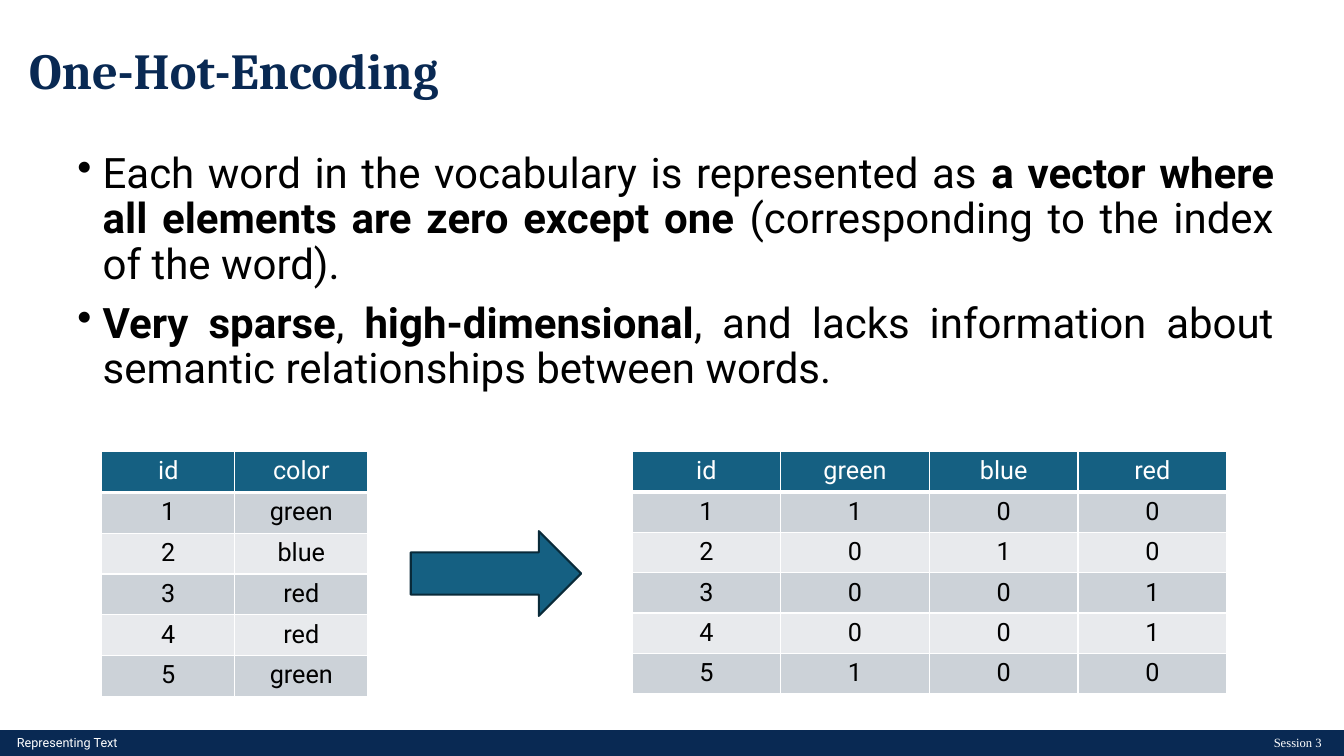
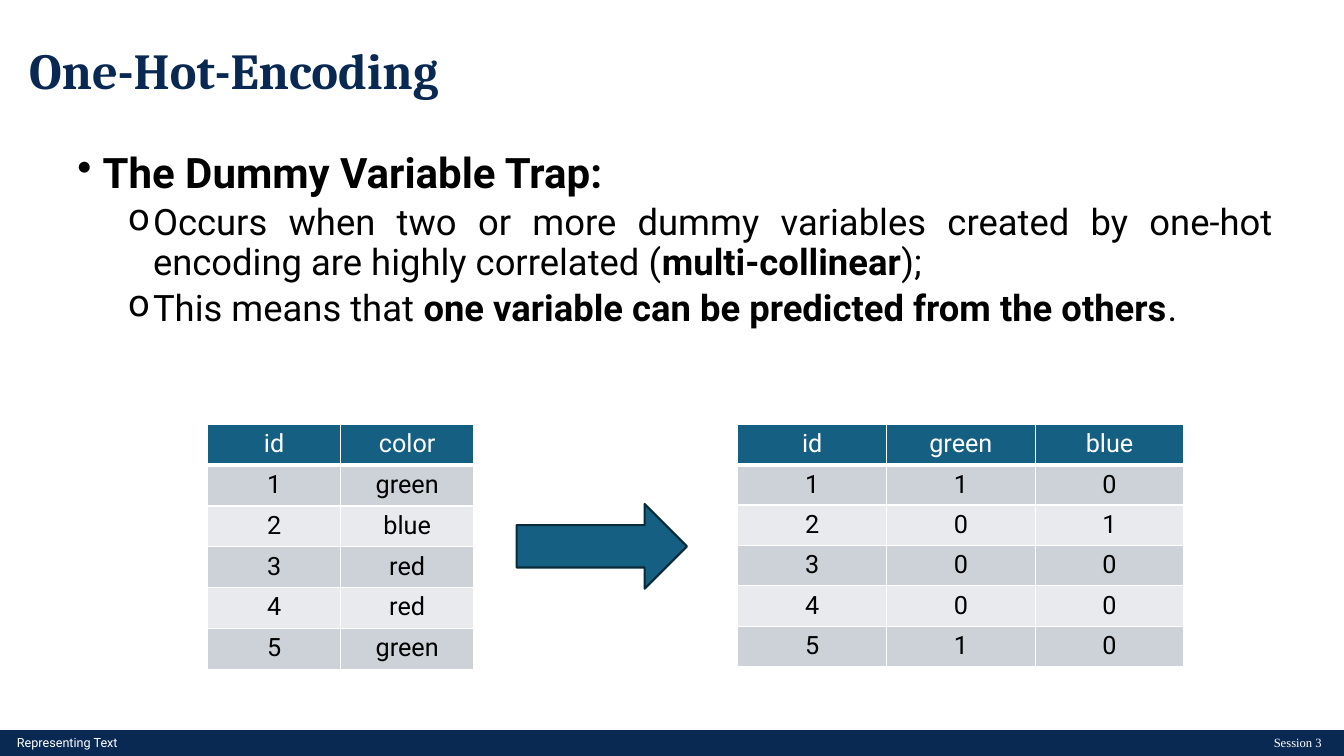
from lxml.etree import SubElement
from pptx import Presentation
from pptx.dml.color import RGBColor
from pptx.enum.shapes import MSO_SHAPE
from pptx.enum.text import MSO_ANCHOR, PP_ALIGN
from pptx.oxml import parse_xml
from pptx.oxml.ns import nsdecls, qn
from pptx.util import Inches, Pt

COLUMNS, ROWS = 133.33, 75
WHITE, BLACK, NAVY = "FFFFFF", "000000", "092953"
TEAL, TEAL_EDGE = "156082", "092A39"
BANDS = ("CCD2D8", "E8EAED")
TITLE_FONT, BODY_FONT, SESSION_FONT = "Cambria", "Roboto", "Times New Roman"
LEVELS = (
    {"bullet": "•", "indent": 0.25, "size": 30, "before": 10},
    {"bullet": "o", "indent": 0.75, "size": 26, "before": 5},
)
HANGING = 0.25
WORD_COLORS = ("green", "blue", "red", "red", "green")


def grid(units):
    return Inches(units / 10)


def color(value):
    return RGBColor.from_string(value)


def add_run(paragraph, text, *, size, font=BODY_FONT, ink=BLACK, bold=False):
    run = paragraph.add_run()
    run.text = text
    run.font.size = Pt(size)
    run.font.name = font
    run.font.bold = bold
    run.font.color.rgb = color(ink)


def add_bullet(paragraph, character, indent):
    properties = paragraph._p.get_or_add_pPr()
    properties.set("marL", str(Inches(indent)))
    properties.set("indent", str(-Inches(HANGING)))
    SubElement(properties, qn("a:buChar"), char=character)


def add_borders(cell, bottom):
    properties = cell._tc.get_or_add_tcPr()
    widths = {"lnL": 1, "lnR": 1, "lnT": 1, "lnB": bottom}
    for position, (side, width) in enumerate(widths.items()):
        properties.insert(position, parse_xml(
            f'<a:{side} {nsdecls("a")} w="{Pt(width)}"><a:solidFill>'
            f'<a:srgbClr val="{WHITE}"/></a:solidFill></a:{side}>'))


class Deck:
    def __init__(self):
        self.presentation = Presentation()
        self.presentation.slide_width = grid(COLUMNS)
        self.presentation.slide_height = grid(ROWS)
        self.slide = None

    def new_slide(self, title):
        blank = self.presentation.slide_layouts[6]
        self.slide = self.presentation.slides.add_slide(blank)
        heading = self.text_frame(1.9, 0, 115, 14.5)
        heading.vertical_anchor = MSO_ANCHOR.MIDDLE
        heading.paragraphs[0].line_spacing = 0.9
        add_run(heading.paragraphs[0], title, size=36, font=TITLE_FONT,
                ink=NAVY, bold=True)
        self.footer()

    def footer(self):
        self.shape(MSO_SHAPE.RECTANGLE, 0, 72.5, COLUMNS, 2.5, NAVY, NAVY)
        for text, left, font, align in (
            ("Representing Text", 0.7, BODY_FONT, PP_ALIGN.LEFT),
            ("Session 3", 57.7, SESSION_FONT, PP_ALIGN.RIGHT),
        ):
            paragraph = self.text_frame(left, 72.4, 74.4, 2.5).paragraphs[0]
            paragraph.alignment = align
            add_run(paragraph, text, size=9, font=font, ink=WHITE)

    def text_frame(self, left, top, width, height):
        box = self.slide.shapes.add_textbox(*map(grid, (left, top, width, height)))
        box.text_frame.word_wrap = True
        return box.text_frame

    def shape(self, preset, left, top, width, height, fill, line):
        shape = self.slide.shapes.add_shape(
            preset, *map(grid, (left, top, width, height)))
        shape.shadow.inherit = False
        shape.fill.solid()
        shape.fill.fore_color.rgb = color(fill)
        shape.line.color.rgb = color(line)
        shape.line.width = Pt(1.5)

    def bullets(self, points):
        frame = self.text_frame(6.7, 14.6, 120.7, 55.1)
        for index, (level, parts) in enumerate(points):
            style = LEVELS[level]
            paragraph = frame.add_paragraph() if index else frame.paragraphs[0]
            paragraph.level = level
            paragraph.alignment = PP_ALIGN.JUSTIFY
            paragraph.line_spacing = 0.9
            paragraph.space_before = Pt(style["before"])
            add_bullet(paragraph, style["bullet"], style["indent"])
            for text, bold in parts:
                add_run(paragraph, text, size=style["size"], bold=bold)

    def table(self, left, top, column_width, row_height, records):
        columns = len(records[0])
        table = self.slide.shapes.add_table(
            len(records), columns, grid(left), grid(top),
            grid(column_width * columns), grid(row_height * len(records))).table
        table.first_row = table.horz_banding = False
        for column in table.columns:
            column.width = grid(column_width)
        for row, record in enumerate(records):
            table.rows[row].height = grid(row_height)
            fill = BANDS[(row - 1) % 2] if row else TEAL
            for column, value in enumerate(record):
                cell = table.cell(row, column)
                cell.fill.solid()
                cell.fill.fore_color.rgb = color(fill)
                add_borders(cell, bottom=1 if row else 3)
                paragraph = cell.text_frame.paragraphs[0]
                paragraph.alignment = PP_ALIGN.CENTER
                add_run(paragraph, str(value), size=18,
                        ink=BLACK if row else WHITE)

    def encoding(self, left, top, categories):
        words = list(enumerate(WORD_COLORS, 1))
        encoded = [(number, *(int(word == category) for category in categories))
                   for number, word in words]
        self.table(left, top, 13.2, 4.05, [("id", "color"), *words])
        self.table(left + 52.6, top, 14.75, 4, [("id", *categories), *encoded])
        self.shape(MSO_SHAPE.RIGHT_ARROW, left + 30.65, top + 7.9, 16.9, 8.4,
                   TEAL, TEAL_EDGE)


def main():
    deck = Deck()

    deck.new_slide("One-Hot-Encoding")
    deck.bullets([
        (0, [("Each word in the vocabulary is represented as ", False),
             ("a vector where all elements are zero except one", True),
             (" (corresponding to the index of the word).", False)]),
        (0, [("Very sparse", True), (", ", False), ("high-dimensional", True),
             (", and lacks information about semantic relationships "
              "between words.", False)]),
    ])
    deck.encoding(10.1, 44.8, ("green", "blue", "red"))

    deck.new_slide("One-Hot-Encoding")
    deck.bullets([
        (0, [("The Dummy Variable Trap:", True)]),
        (1, [("Occurs when two or more dummy variables created by one-hot "
              "encoding are highly correlated (", False),
             ("multi-collinear", True), (");", False)]),
        (1, [("This means that ", False),
             ("one variable can be predicted from the others", True),
             (".", False)]),
    ])
    deck.encoding(20.6, 42.1, ("green", "blue"))

    deck.presentation.save("out.pptx")


if __name__ == "__main__":
    main()
